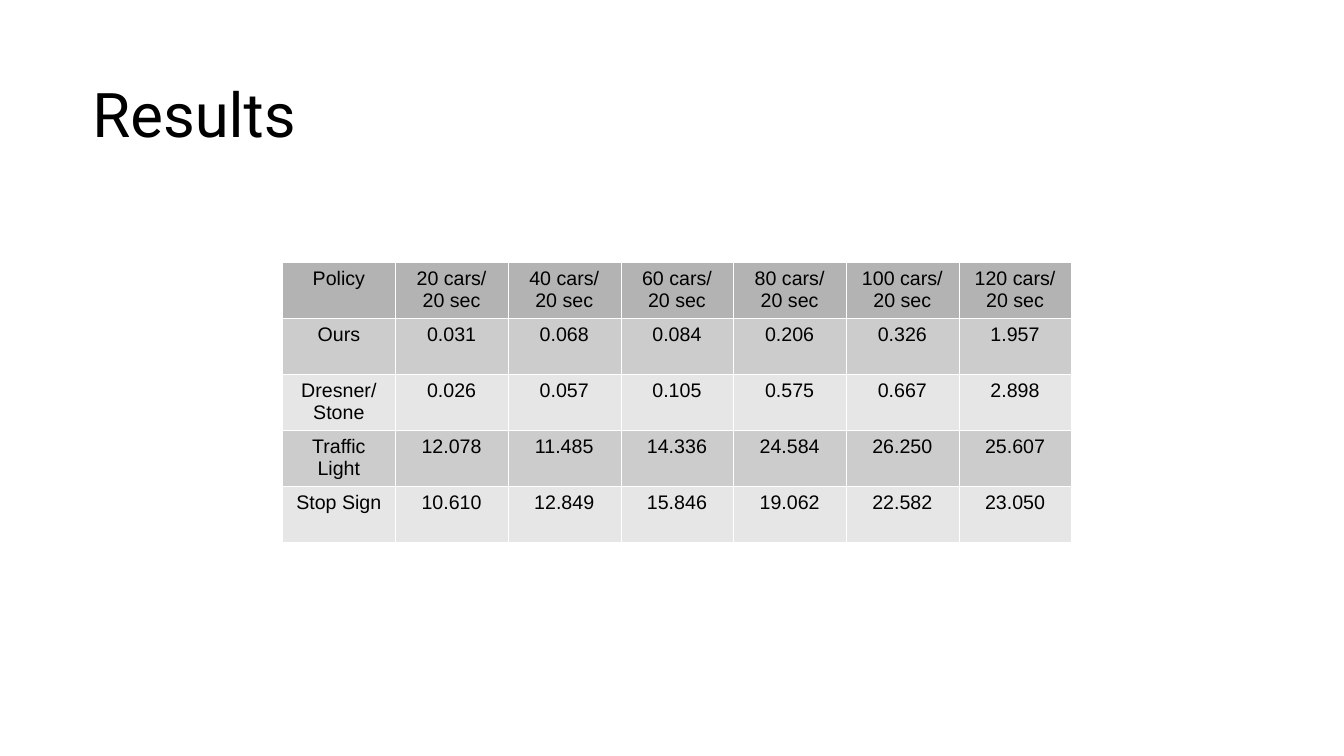
from dataclasses import dataclass

from lxml import etree
from pptx import Presentation
from pptx import util as u
from pptx.dml import color
from pptx.enum import text
from pptx.oxml import ns


@dataclass(frozen=True)
class Theme:
    ink: str = "000000"
    line: str = "FFFFFF"
    head: str = "B3B3B3"
    bands: tuple = ("CCCCCC", "E6E6E6")
    big: int = 44
    small: int = 14
    face: str = "Roboto"
    body: str = "Arial"
    edge: int = 720


def rgb(code):
    return color.RGBColor.from_string(code)


class Page:
    def __init__(self, deck, theme):
        self.theme = theme
        self.slide = deck.slides.add_slide(deck.slide_layouts[5])

    def style(self, par, face, size, align):
        par.alignment = align
        par.font.name = face
        par.font.size = u.Pt(size)
        par.font.bold = False
        par.font.color.rgb = rgb(self.theme.ink)

    def title(self, words, left, top, width, height):
        box = self.slide.shapes.title
        box.left, box.top, box.width, box.height = left, top, width, height
        frame = box.text_frame
        frame.text = words
        frame.word_wrap = True
        frame.auto_size = text.MSO_AUTO_SIZE.NONE
        frame.vertical_anchor = text.MSO_ANCHOR.MIDDLE
        frame.margin_left = frame.margin_right = 0
        frame.margin_top = frame.margin_bottom = 0
        self.style(frame.paragraphs[0], self.theme.face, self.theme.big,
                   text.PP_ALIGN.LEFT)

    def border(self, cell):
        props = cell._tc.get_or_add_tcPr()
        for side in ("lnL", "lnR", "lnT", "lnB"):
            line = etree.SubElement(props, ns.qn("a:" + side),
                                    w=str(self.theme.edge))
            fill = etree.SubElement(line, ns.qn("a:solidFill"))
            etree.SubElement(fill, ns.qn("a:srgbClr"), val=self.theme.line)

    def cell(self, cell, words, fill):
        cell.text = words
        self.style(cell.text_frame.paragraphs[0], self.theme.body,
                   self.theme.small, text.PP_ALIGN.CENTER)
        self.border(cell)
        cell.fill.solid()
        cell.fill.fore_color.rgb = rgb(fill)

    def table(self, rows, left, top, wide, high):
        count = len(rows[0])
        grid = self.slide.shapes.add_table(
            len(rows), count, left, top, wide * count, high * len(rows)).table
        grid.horz_banding = False
        for col in grid.columns:
            col.width = wide
        for r, row in enumerate(rows):
            grid.rows[r].height = high
            fill = self.theme.bands[(r - 1) % 2] if r else self.theme.head
            for c, words in enumerate(row):
                self.cell(grid.cell(r, c), words, fill)


RATES = range(20, 121, 20)
DELAYS = {
    "Ours": (0.031, 0.068, 0.084, 0.206, 0.326, 1.957),
    "Dresner/Stone": (0.026, 0.057, 0.105, 0.575, 0.667, 2.898),
    "Traffic Light": (12.078, 11.485, 14.336, 24.584, 26.250, 25.607),
    "Stop Sign": (10.610, 12.849, 15.846, 19.062, 22.582, 23.050),
}

deck = Presentation()
deck.slide_width, deck.slide_height = u.Cm(33.87), u.Cm(19.05)
page = Page(deck, Theme())
page.title("Results", u.Cm(2.33), u.Cm(0.13), u.Cm(29.21), u.Cm(5.44))
rows = [["Policy"] + [f"{rate} cars/ 20 sec" for rate in RATES]]
rows += [[name] + [f"{delay:.3f}" for delay in delays]
         for name, delays in DELAYS.items()]
page.table(rows, u.Cm(7.12), u.Cm(6.61), u.Cm(2.84), u.Cm(1.41))
deck.save("out.pptx")
